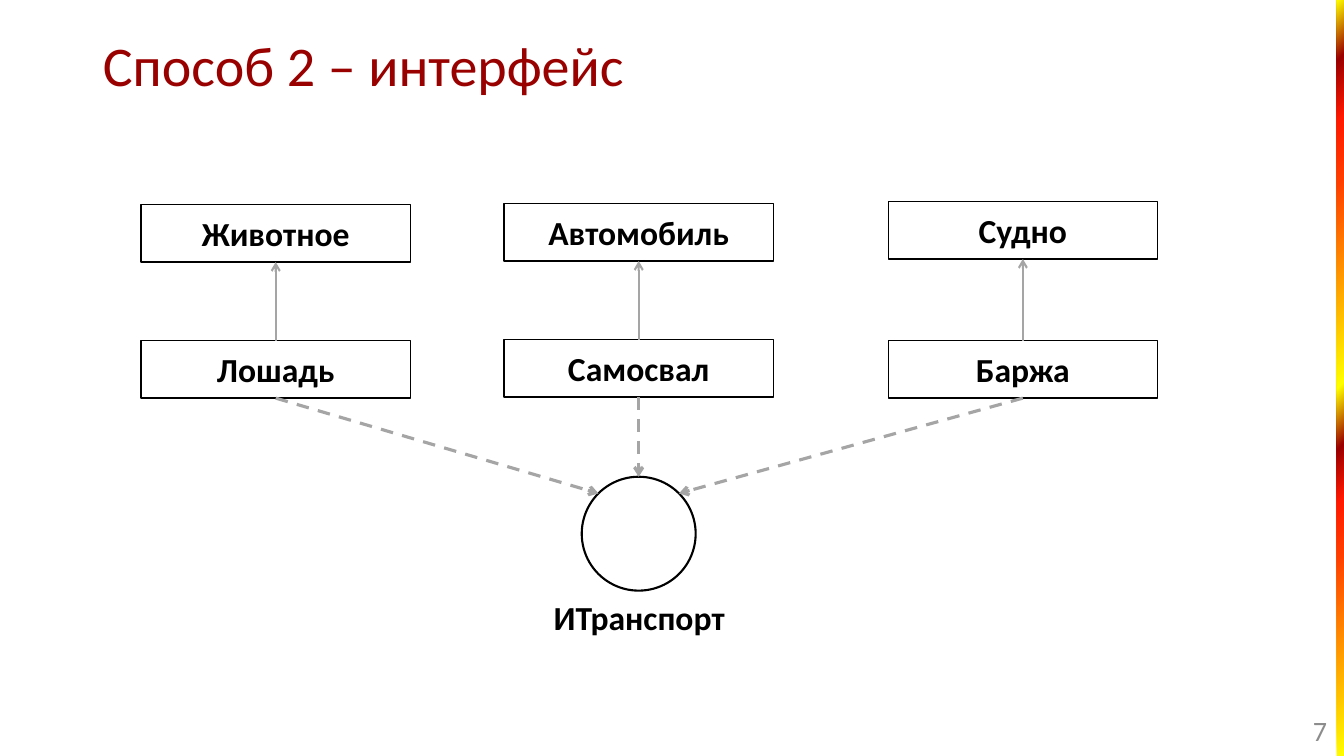
from math import sqrt
from lxml import etree
from pptx import Presentation
from pptx.dml.color import RGBColor
from pptx.enum.dml import MSO_LINE_DASH_STYLE as DASH
from pptx.enum.shapes import MSO_CONNECTOR, MSO_SHAPE
from pptx.enum.text import MSO_ANCHOR, PP_ALIGN
from pptx.oxml.ns import qn
from pptx.util import Inches, Pt

TITLE = "Способ 2 – интерфейс"
PAGE = "7"
INTERFACE = "ИТранспорт"
CLASSES = [
    ("Животное", "Лошадь", 1.4, 2.03, 3.38),
    ("Автомобиль", "Самосвал", 5, 2.02, 3.37),
    ("Судно", "Баржа", 8.81, 2, 3.38),
]
BOX_W, BOX_H = 2.67, 0.57
CIRCLE_X, CIRCLE_Y, CIRCLE_D = 5.77, 4.73, 1.13
STRIPE = [
    (0, "FFFF00"), (27, "FF3D00"), (34, "FF1900"), (41, "990000"), (49, "FFFF00"),
    (76, "FF3D00"), (84, "FF1900"), (92, "990000"), (100, "FFFF00"),
]
BLACK, WHITE, GREY, RED = "000000", "FFFFFF", "A5A5A5", "990000"


def rgb(value):
    return RGBColor.from_string(value)


def write(shape, text, size, color, align, bold=False):
    tf = shape.text_frame
    tf.word_wrap = True
    tf.vertical_anchor = MSO_ANCHOR.MIDDLE
    p = tf.paragraphs[0]
    p.text = text
    p.alignment = align
    p.font.name = "Calibri"
    p.font.size = Pt(size)
    p.font.bold = bold
    p.font.color.rgb = rgb(color)
    return p


def add_shape(kind, x, y, w, h, text="", line=None):
    sp = s.shapes.add_shape(kind, Inches(x), Inches(y), Inches(w), Inches(h))
    sp.shadow.inherit = False
    sp.fill.solid()
    sp.fill.fore_color.rgb = rgb(WHITE)
    if line:
        sp.line.color.rgb = rgb(BLACK)
        sp.line.width = Pt(line)
    else:
        sp.line.fill.background()
    if text:
        write(sp, text, 24, BLACK, PP_ALIGN.CENTER, True)
    return sp


def add_arrow(start, site, end_x, end_y, width, dash=None):
    cn = s.shapes.add_connector(MSO_CONNECTOR.STRAIGHT, 0, 0, end_x, end_y)
    cn.begin_connect(start, site)
    cn.line.color.rgb = rgb(GREY)
    cn.line.width = Pt(width)
    if dash:
        cn.line.dash_style = dash
    etree.SubElement(cn.line._get_or_add_ln(), qn("a:tailEnd"), type="arrow")
    etree.SubElement(cn._element.spPr, qn("a:effectLst"))
    return cn


def add_stripe():
    sp = add_shape(MSO_SHAPE.RECTANGLE, 13.26, 0, 0.07, 7.5)
    sp.fill.gradient()
    grad = sp._element.spPr.find(qn("a:gradFill"))
    stops = grad.find(qn("a:gsLst"))
    for stop in list(stops):
        stops.remove(stop)
    for pos, color in STRIPE:
        stop = etree.SubElement(stops, qn("a:gs"), pos=str(pos * 1000))
        etree.SubElement(stop, qn("a:srgbClr"), val=color)
    sp.fill.gradient_angle = 135


prs = Presentation()
prs.slide_width, prs.slide_height = Inches(13.33), Inches(7.5)
s = prs.slides.add_slide(prs.slide_layouts[5])
add_stripe()

title = s.shapes.title
title.left, title.top = Inches(0.92), Inches(0.15)
title.width, title.height = Inches(11.5), Inches(1.06)
write(title, TITLE, 40, RED, PP_ALIGN.LEFT).line_spacing = 0.9

number = s.shapes.add_textbox(Inches(12.2), Inches(7.05), Inches(1.06), Inches(0.4))
write(number, PAGE, 20, "8C8C8C", PP_ALIGN.RIGHT)

add_shape(MSO_SHAPE.RECTANGLE, 5.19, 5.88, 2.3, 0.49, INTERFACE)
circle = add_shape(MSO_SHAPE.OVAL, CIRCLE_X, CIRCLE_Y, CIRCLE_D, CIRCLE_D, line=1.5)

radius = CIRCLE_D / 2
diagonal = radius / sqrt(2)
targets = [(-diagonal, -diagonal), (0, -radius), (diagonal, -diagonal)]

for (parent, child, x, parent_y, child_y), (dx, dy) in zip(CLASSES, targets):
    base = add_shape(MSO_SHAPE.RECTANGLE, x, parent_y, BOX_W, BOX_H, parent, 1)
    derived = add_shape(MSO_SHAPE.RECTANGLE, x, child_y, BOX_W, BOX_H, child, 1)
    add_arrow(derived, 0, 0, 0, 1.5).end_connect(base, 2)
    add_arrow(derived, 2, Inches(CIRCLE_X + radius + dx),
              Inches(CIRCLE_Y + radius + dy), 2.25, DASH.DASH)

prs.save("out.pptx")
